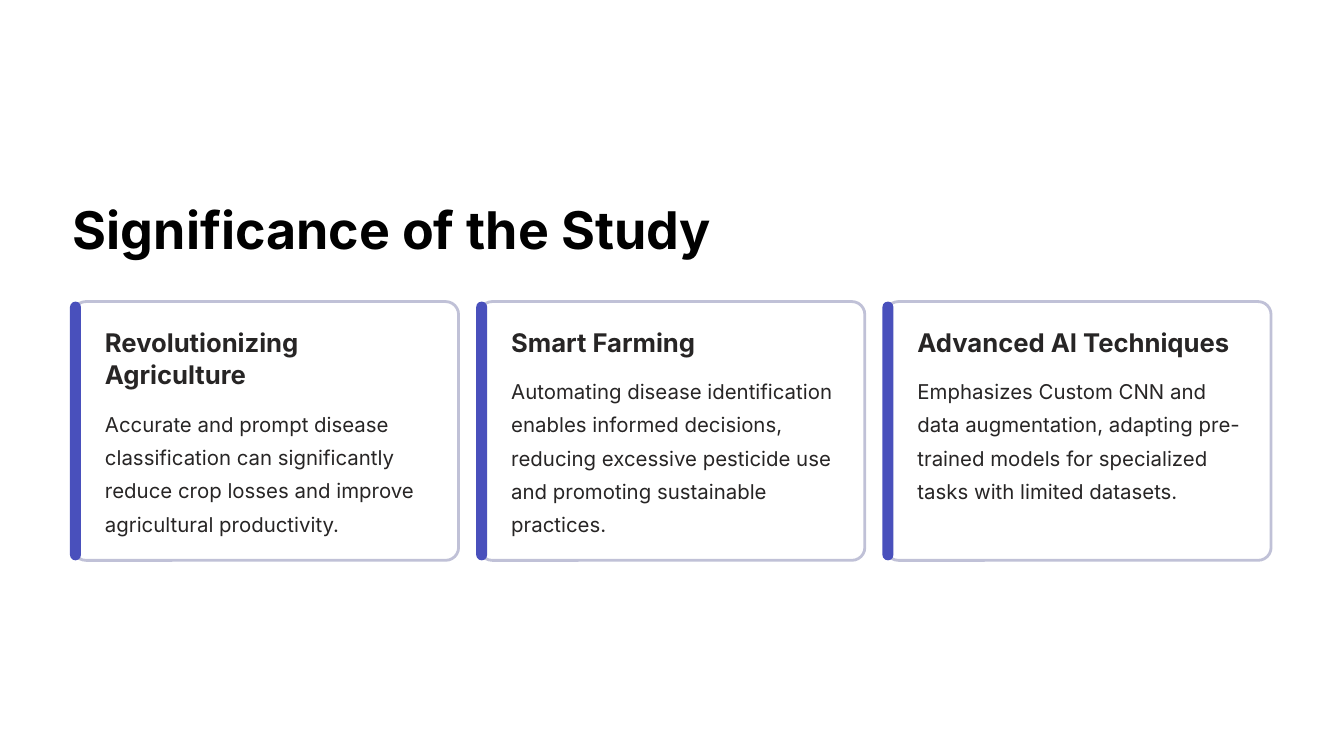
from dataclasses import dataclass

from pptx import Presentation
from pptx.dml.color import RGBColor
from pptx.enum.shapes import MSO_SHAPE
from pptx.util import Pt

ROUNDED = MSO_SHAPE.ROUNDED_RECTANGLE


@dataclass(frozen=True)
class Theme:
    font: str = "Inter"
    background: str = "FFFFFF"
    title: str = "000000"
    text: str = "272525"
    accent: str = "4950BC"
    border: str = "C0C1D7"
    # Type size and line spacing
    title_type: tuple = (44.5, 55.5)
    heading_type: tuple = (22, 27.5)
    body_type: tuple = (17.5, 28.5)


class SlideBuilder:
    def __init__(self, slide, theme):
        self.s = slide
        self.theme = theme
        fill = slide.background.fill
        fill.solid()
        fill.fore_color.rgb = RGBColor.from_string(theme.background)

    def text(self, x, y, w, h, words, type_style, color, bold=False, wrap=True):
        size, spacing = type_style
        tf = self.s.shapes.add_textbox(Pt(x), Pt(y), Pt(w), Pt(h)).text_frame
        tf.margin_left = tf.margin_right = tf.margin_top = tf.margin_bottom = 0
        tf.word_wrap = wrap
        tf.text = words
        p = tf.paragraphs[0]
        p.line_spacing = Pt(spacing)
        font = p.runs[0].font
        font.name = self.theme.font
        font.size = Pt(size)
        font.bold = bold
        font.color.rgb = RGBColor.from_string(color)

    def rounded(self, x, y, w, h, radius, fill, line=None):
        sp = self.s.shapes.add_shape(ROUNDED, Pt(x), Pt(y), Pt(w), Pt(h))
        sp.shadow.inherit = False
        sp.adjustments[0] = radius
        sp.fill.solid()
        sp.fill.fore_color.rgb = RGBColor.from_string(fill)
        if line:
            sp.line.color.rgb = RGBColor.from_string(line)
            sp.line.width = Pt(2.4)
        else:
            sp.line.fill.background()

    def card(self, x, y, heading, heading_lines, body, body_lines):
        t = self.theme
        w, h = 330.5, 221.8
        text_x, text_y, text_w = x + 27.4, y + 20.9, 283
        heading_h = 28 * heading_lines
        # Frame and accent bar
        self.rounded(x, y, w, h, 0.05, t.background, t.border)
        self.rounded(x - 2.6, y, 9.4, h, 0.5, t.accent)
        # Heading and body
        self.text(text_x, text_y, text_w, heading_h, heading,
                  t.heading_type, t.text, bold=True)
        self.text(text_x, text_y + heading_h + 10.2, text_w, 28.5 * body_lines,
                  body, t.body_type, t.text)


# Heading, its line count, body, its line count
CARDS = [
    ("Revolutionizing Agriculture", 2,
     "Accurate and prompt disease classification can significantly reduce "
     "crop losses and improve agricultural productivity.", 4),
    ("Smart Farming", 1,
     "Automating disease identification enables informed decisions, reducing "
     "excessive pesticide use and promoting sustainable practices.", 5),
    ("Advanced AI Techniques", 1,
     "Emphasizes Custom CNN and data augmentation, adapting pre-trained "
     "models for specialized tasks with limited datasets.", 4),
]
LEFT, CARD_TOP, CARD_PITCH = 62.6, 258.5, 348.2


def main():
    prs = Presentation()
    prs.slide_width, prs.slide_height = Pt(1152), Pt(648)
    theme = Theme()
    builder = SlideBuilder(prs.slides.add_slide(prs.slide_layouts[6]), theme)

    # Title
    builder.text(LEFT, 167, 549.4, 56, "Significance of the Study",
                 theme.title_type, theme.title, bold=True, wrap=False)

    # Row of cards
    for i, card in enumerate(CARDS):
        builder.card(LEFT + i * CARD_PITCH, CARD_TOP, *card)

    prs.save("out.pptx")


if __name__ == "__main__":
    main()
